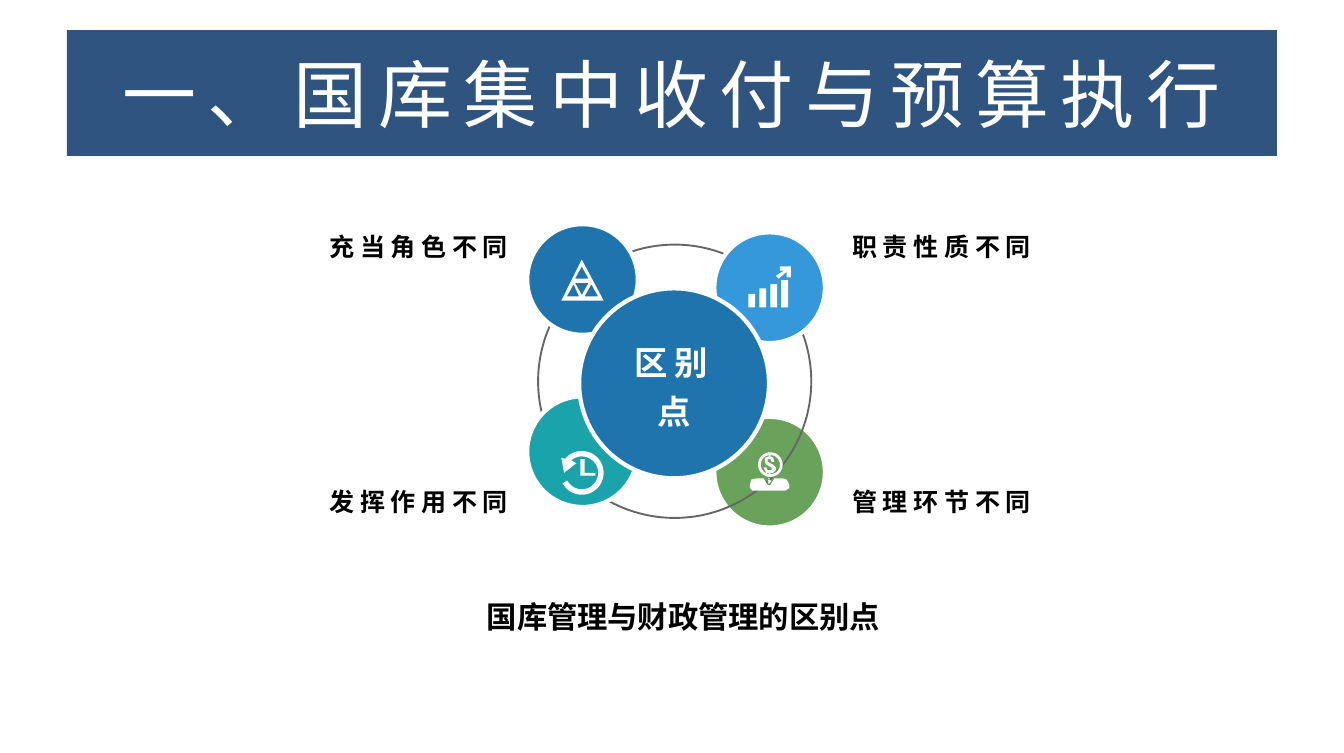
from math import cos, radians, sin

from lxml import etree
from pptx import Presentation
from pptx.dml.color import RGBColor
from pptx.enum.shapes import MSO_SHAPE
from pptx.enum.text import MSO_ANCHOR, PP_ALIGN
from pptx.oxml.ns import qn
from pptx.util import Inches, Pt

OVAL, RECT = MSO_SHAPE.OVAL, MSO_SHAPE.RECTANGLE
TOP, MIDDLE, BOTTOM = MSO_ANCHOR.TOP, MSO_ANCHOR.MIDDLE, MSO_ANCHOR.BOTTOM
LEFT, CENTER, RIGHT = PP_ALIGN.LEFT, PP_ALIGN.CENTER, PP_ALIGN.RIGHT

COLORS = {
    "white": "FFFFFF", "black": "000000", "banner": "305480", "ring": "666666",
    "blue": "1F74AD", "sky": "3498DB", "teal": "1AA3AA", "green": "69A35B",
}
SANS = "Noto Sans CJK SC"
DISC = 0.81


def color(name):
    return RGBColor.from_string(COLORS[name])


def add_shape(slide, kind, box, fill=None, line=None, width=2.25):
    shape = slide.shapes.add_shape(kind, *map(Inches, box))
    paint(shape, fill, line, width)
    return shape


def paint(shape, fill, line=None, width=2.25):
    shape.shadow.inherit = False
    if fill:
        shape.fill.solid()
        shape.fill.fore_color.rgb = color(fill)
    else:
        shape.fill.background()
    if line:
        shape.line.color.rgb = color(line)
        shape.line.width = Pt(width)
    else:
        shape.line.fill.background()


def write(shape, text, size, ink="black", align=CENTER, anchor=MIDDLE, bold=True,
          font=SANS, track=0, lead=None, indent=0, pads=(0.07, 0.04, 0.07, 0.04)):
    """Fill a shape with one paragraph; track is letter spacing in points."""
    frame = shape.text_frame
    frame.word_wrap = True
    frame.vertical_anchor = anchor
    (frame.margin_left, frame.margin_top,
     frame.margin_right, frame.margin_bottom) = map(Inches, pads)
    para = frame.paragraphs[0]
    para.alignment = align
    if lead:
        para.line_spacing = lead
    if indent:
        para._p.get_or_add_pPr().set("indent", str(Inches(indent)))
    run = para.add_run()
    run.text = text
    run.font.size = Pt(size)
    run.font.bold = bold
    run.font.name = font
    run.font.color.rgb = color(ink)
    props = run._r.get_or_add_rPr()
    if track:
        props.set("spc", str(track * 100))
    props.find(qn("a:latin")).addnext(etree.Element(qn("a:ea"), typeface=SANS))


def add_text(slide, box, text, size, **style):
    write(slide.shapes.add_textbox(*map(Inches, box)), text, size, **style)


def add_icon(slide, rings):
    """Draw closed outlines as one white shape; inner outlines become holes."""
    rings = [[(Inches(x), Inches(y)) for x, y in ring] for ring in rings]
    pen = slide.shapes.build_freeform(*rings[0][0])
    for ring in rings:
        if ring is not rings[0]:
            pen.move_to(*ring[0])
        pen.add_line_segments(ring[1:], close=True)
    paint(pen.convert_to_shape(), "white")


def arc(x, y, radius, start, end, steps=48):
    turns = [radians(start + (end - start) * i / steps) for i in range(steps + 1)]
    return [(x + radius * cos(t), y + radius * sin(t)) for t in turns]


def block(left, top, right, base):
    return [(left, top), (right, top), (right, base), (left, base)]


def prism_icon():
    return [
        [(4.26, 1.9), (4.11, 2.2), (4.42, 2.2)],
        [(4.26, 1.95), (4.31, 2.04), (4.21, 2.04)],
        [(4.15, 2.17), (4.2, 2.08), (4.24, 2.17)],
        [(4.21, 2.07), (4.31, 2.07), (4.26, 2.16)],
        [(4.33, 2.08), (4.38, 2.17), (4.28, 2.17)],
    ]


def clock_icon():
    x, y = 4.26, 3.46
    head = [(4.11, 3.35), (4.13, 3.46), (4.22, 3.39)]
    dial = arc(x, y, 0.16, 152, -140) + head + arc(x, y, 0.12, -130, 152)
    hands = [(4.25, 3.36), (4.28, 3.36), (4.28, 3.46),
             (4.36, 3.46), (4.36, 3.48), (4.25, 3.48)]
    return [dial, hands]


def growth_icon():
    tops = (2.15, 2.11, 2.08, 2.05)
    bars = [block(5.48 + 0.08 * i, top, 5.53 + 0.08 * i, 2.25)
            for i, top in enumerate(tops)]
    arrow = [(5.71, 1.95), (5.79, 1.95), (5.79, 2.03), (5.76, 2.03), (5.76, 1.99),
             (5.7, 2.04), (5.68, 2.02), (5.74, 1.98), (5.71, 1.98)]
    return bars + [arrow]


def coin_icon():
    coin = [arc(5.64, 3.4, radius, 0, 360) for radius in (0.09, 0.07)]
    dollar = [
        (5.63, 3.33), (5.64, 3.33), (5.64, 3.34), (5.66, 3.35), (5.67, 3.38),
        (5.65, 3.38), (5.64, 3.36), (5.62, 3.36), (5.62, 3.38), (5.66, 3.4),
        (5.68, 3.42), (5.68, 3.44), (5.66, 3.46), (5.64, 3.46), (5.64, 3.47),
        (5.63, 3.47), (5.63, 3.46), (5.61, 3.46), (5.59, 3.42), (5.61, 3.42),
        (5.62, 3.44), (5.65, 3.44), (5.65, 3.42), (5.61, 3.4), (5.6, 3.38),
        (5.6, 3.35), (5.63, 3.34),
    ]
    body = [
        (5.54, 3.5), (5.59, 3.5), (5.62, 3.55), (5.64, 3.55), (5.67, 3.5),
        (5.73, 3.5), (5.76, 3.51), (5.78, 3.55), (5.78, 3.57), (5.75, 3.59),
        (5.51, 3.59), (5.49, 3.57), (5.49, 3.55), (5.5, 3.51),
    ]
    tie = [(5.62, 3.5), (5.64, 3.5), (5.63, 3.51), (5.65, 3.52),
           (5.63, 3.54), (5.62, 3.52), (5.63, 3.51)]
    return coin + [dollar, body, tie]


def add_disc(slide, left, top, fill):
    add_shape(slide, OVAL, (left, top, DISC, DISC), fill, "white")


def add_wheel(slide):
    add_disc(slide, 5.23, 3.05, "green")
    add_shape(slide, OVAL, (3.94, 1.79, 2, 2), line="ring", width=1)
    for left, top, fill, icon in (
        (3.86, 1.64, "blue", prism_icon),
        (3.86, 2.9, "teal", clock_icon),
        (5.23, 1.7, "sky", growth_icon),
    ):
        add_disc(slide, left, top, fill)
        add_icon(slide, icon())
    add_shape(slide, OVAL, (4.24, 2.11, 1.39, 1.39), "blue", "white")
    add_icon(slide, coin_icon())
    add_text(slide, (4.49, 2.37, 0.89, 0.86), "区别点", 17.6,
             ink="white", track=3, lead=1.2)


def add_labels(slide):
    rows = ((1.6, "充当角色不同", "职责性质不同"),
            (3.47, "发挥作用不同", "管理环节不同"))
    for top, *pair in rows:
        for left, align, text in zip((1.72, 6.17), (RIGHT, LEFT), pair):
            add_text(slide, (left, top, 2.07, 0.31), text, 13.2, align=align,
                     anchor=BOTTOM, track=3, lead=1.2, pads=(0.07, 0.04, 0.07, 0))


def main():
    deck = Presentation()
    deck.slide_width, deck.slide_height = Inches(9.84), Inches(5.51)
    slide = deck.slides.add_slide(deck.slide_layouts[6])
    add_text(slide, (0.58, 4.33, 8.41, 0.64), "国库管理与财政管理的区别点", 16,
             font="Calibri", anchor=TOP, indent=0.44, pads=(0.1, 0.05, 0.1, 0.05))
    add_wheel(slide)
    add_labels(slide)
    banner = add_shape(slide, RECT, (0.49, 0.22, 8.86, 0.92), "banner")
    write(banner, "一、国库集中收付与预算执行", 39, ink="white", bold=False,
          track=6, pads=(0.09, 0.04, 0.09, 0.04))
    deck.save("out.pptx")


if __name__ == "__main__":
    main()
